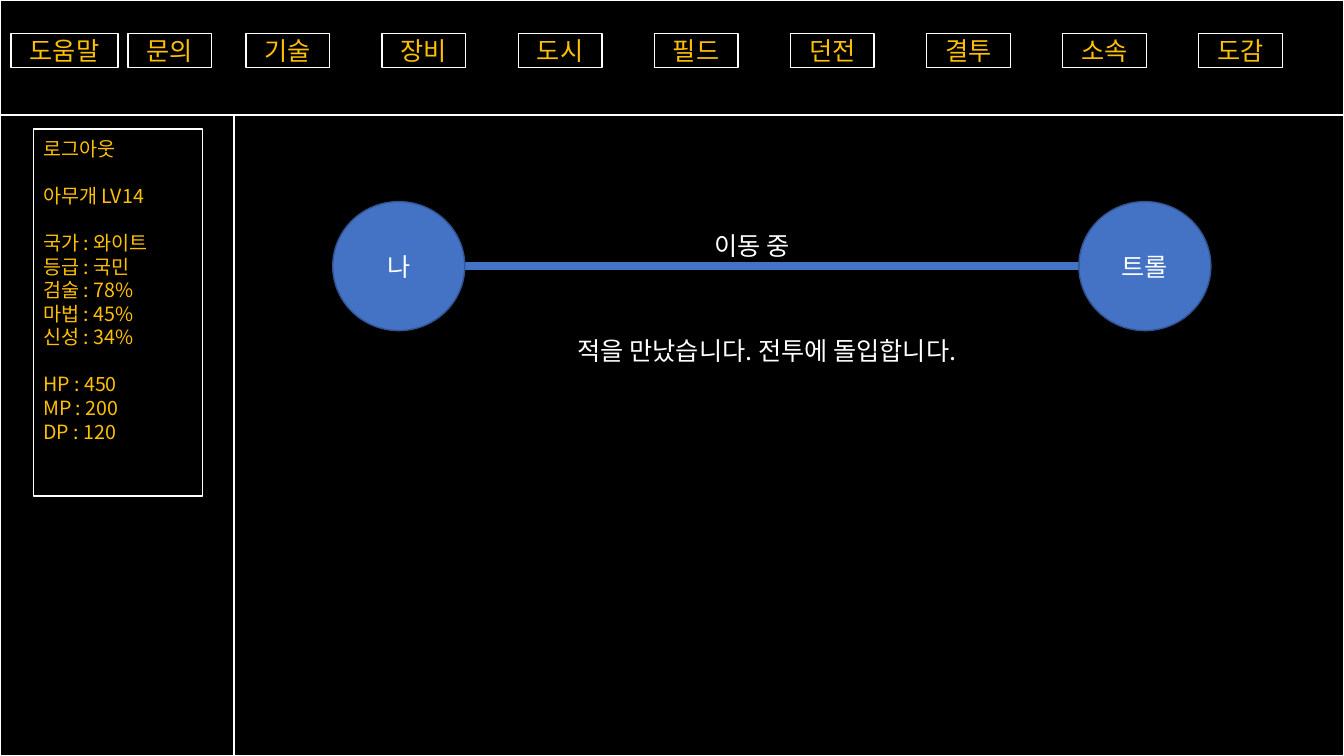
from pptx import Presentation, util as u
from pptx.dml.color import RGBColor
from pptx.enum import shapes, text
from pptx.oxml.ns import qn
from lxml import etree

FONT = "Noto Sans CJK KR"
BLACK, WHITE, GOLD, BLUE, NAVY = "000000", "FFFFFF", "FFC000", "4472C4", "325491"
RECT, OVAL = shapes.MSO_SHAPE.RECTANGLE, shapes.MSO_SHAPE.OVAL
CENTER, LEFT = text.PP_ALIGN.CENTER, text.PP_ALIGN.LEFT


def color(value):
    """Turn a hex string into a colour."""
    return RGBColor.from_string(value)


def write(tf, line, size, ink, align, first=True, gap=0):
    """Add one line of text, with a gap of whole lines above it."""
    p = tf.paragraphs[0] if first else tf.add_paragraph()
    p.alignment = align
    p.line_spacing = u.Pt(size * 1.2)
    p.space_before = u.Pt(size * 1.2 * gap)
    r = p.add_run()
    r.text = line
    r.font.name, r.font.size = FONT, u.Pt(size)
    r.font.color.rgb = color(ink)
    etree.SubElement(r._r.get_or_add_rPr(), qn("a:ea"), typeface=FONT)


def shape(s, kind, box, fill=BLACK, line=WHITE):
    """Draw an outlined preset shape in the box."""
    sp = s.shapes.add_shape(kind, *map(u.Inches, box))
    sp.shadow.inherit = False
    sp.fill.solid()
    sp.fill.fore_color.rgb = color(fill)
    sp.line.color.rgb = color(line)
    sp.line.width = u.Pt(1)
    sp.text_frame.vertical_anchor = text.MSO_ANCHOR.MIDDLE
    return sp


def label(s, box, line):
    """Place a single line of white text."""
    tf = s.shapes.add_textbox(*map(u.Inches, box)).text_frame
    tf.word_wrap = False
    write(tf, line, 18, WHITE, LEFT)


def menu(s, box):
    """Draw the top bar with its buttons."""
    left, top, _, _ = box
    shape(s, RECT, box)
    names = ["기술", "장비", "도시", "필드", "던전", "결투", "소속", "도감"]
    buttons = [(0.11, 1.06, "도움말"), (1.27, 0.83, "문의")]
    buttons += [(2.44 + 1.35 * i, 0.83, name) for i, name in enumerate(names)]
    for x, width, name in buttons:
        sp = shape(s, RECT, (left + x, top + 0.33, width, 0.34))
        write(sp.text_frame, name, 18, GOLD, CENTER)


def sidebar(s, box):
    """Draw the side panel with the player's status."""
    left, top, _, _ = box
    shape(s, RECT, box)
    tf = shape(s, RECT, (left + 0.33, top + 0.14, 1.68, 3.64)).text_frame
    tf.vertical_anchor = text.MSO_ANCHOR.TOP
    tf.margin_top = u.Inches(0.08)
    groups = [["로그아웃"], ["아무개 LV14"],
              ["국가 : 와이트", "등급 : 국민", "검술 : 78%", "마법 : 45%", "신성 : 34%"],
              ["HP : 450", "MP : 200", "DP : 120"]]
    for g, group in enumerate(groups):
        for i, line in enumerate(group):
            write(tf, line, 14, GOLD, LEFT, g == i == 0, int(g > 0 and i == 0))


def field(s, box):
    """Draw the main area where the player meets the enemy."""
    left, top, _, _ = box
    shape(s, RECT, box)
    y = top + 1.5
    ends = [u.Inches(v) for v in (left + 2.28, y, left + 8.38, y)]
    track = s.shapes.add_connector(shapes.MSO_CONNECTOR.STRAIGHT, *ends)
    track.line.color.rgb = color(BLUE)
    track.line.width = u.Pt(6)
    etree.SubElement(track._element.spPr, qn("a:effectLst"))
    for x, name in [(0.98, "나"), (8.38, "트롤")]:
        sp = shape(s, OVAL, (left + x, y - 0.64, 1.31, 1.28), BLUE, NAVY)
        write(sp.text_frame, name, 18, WHITE, CENTER)
    label(s, (left + 4.67, y - 0.4, 1.05, 0.4), "이동 중")
    label(s, (left + 3.31, y + 0.64, 4.37, 0.4), "적을 만났습니다. 전투에 돌입합니다.")


def main():
    """Build and save the slide."""
    prs = Presentation()
    prs.slide_width, prs.slide_height = u.Inches(13.33), u.Inches(7.5)
    s = prs.slides.add_slide(prs.slide_layouts[6])
    menu(s, (0, 0, 13.33, 1.14))
    field(s, (2.32, 1.14, 11.01, 6.36))
    sidebar(s, (0, 1.14, 2.32, 6.36))
    prs.save("out.pptx")


main()
